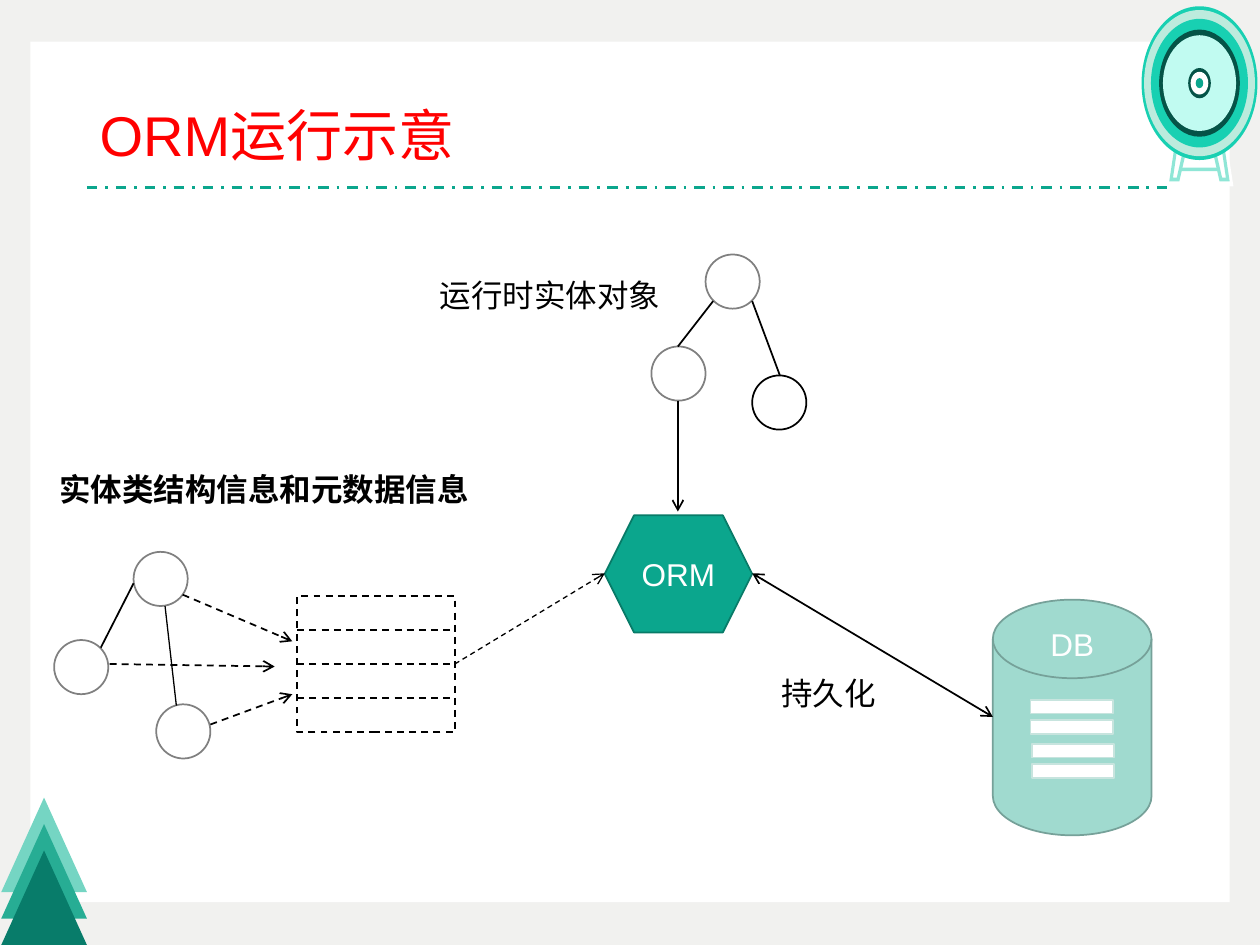
from lxml.etree import SubElement as Sub
from pptx import Presentation
from pptx.dml.color import RGBColor as Rgb
from pptx.enum.dml import MSO_LINE as Dash
from pptx.enum.shapes import MSO_CONNECTOR as Conn, MSO_SHAPE as Kind
from pptx.enum.text import MSO_ANCHOR as Anchor, MSO_AUTO_SIZE as Fit, PP_ALIGN as Align
from pptx.oxml.ns import qn
from pptx.util import Cm, Pt

HUES = {
    "paper": "F1F1EF", "white": "FFFFFF", "black": "000000", "gray": "808080",
    "red": "FF0000", "teal": "0BA68D", "edge": "087B68", "mint": "8FE6D6",
    "pale": "BCEBDD", "aqua": "18D0B2", "ice": "C1FBF1", "deep": "055347",
    "leaf1": "75D5C3", "leaf2": "27AD94", "leaf3": "087C6A",
    "disk": "A0DACF", "rim": "76A199", "bar": "C7E4DE",
}
DOT = 0.43  # diameter of an object circle


def size(val):
    """Turn inches on the slide into a Cm length."""
    return Cm(val * 2.54)


def hue(name):
    return Rgb.from_string(HUES[name])


def paint(item, fill=None, line=None, width=1, dash=None):
    item.shadow.inherit = False
    if fill:
        item.fill.solid()
        item.fill.fore_color.rgb = hue(fill)
    else:
        item.fill.background()
    if line:
        item.line.color.rgb = hue(line)
        item.line.width = Pt(width)
        if dash:
            item.line.dash_style = dash
    else:
        item.line.fill.background()
    return item


def shape(slide, kind, x, y, w, h, **style):
    return paint(slide.shapes.add_shape(kind, *map(size, (x, y, w, h))), **style)


def outline(slide, loops, **style):
    """Draw one outline; further loops are holes in the first."""
    first, *holes = [[(size(x), size(y)) for x, y in loop] for loop in loops]
    pen = slide.shapes.build_freeform(*first[0])
    pen.add_line_segments(first[1:])
    for hole in holes:
        pen.move_to(*hole[0])
        pen.add_line_segments(hole[1:])
    return paint(pen.convert_to_shape(), **style)


def link(slide, x1, y1, x2, y2, color="black", width=1, dash=None, head=False, tail=False):
    item = slide.shapes.add_connector(Conn.STRAIGHT, *map(size, (x1, y1, x2, y2)))
    item.line.color.rgb = hue(color)
    item.line.width = Pt(width)
    if dash:
        item.line.dash_style = dash
    for tag, show in (("a:headEnd", head), ("a:tailEnd", tail)):
        if show:
            Sub(item.line._get_or_add_ln(), qn(tag), type="arrow")
    Sub(item._element.spPr, qn("a:effectLst"))


def write(item, text, pts=18, color="black", bold=False, align=Align.LEFT,
          anchor=Anchor.MIDDLE, space=None):
    frame = item.text_frame
    frame.word_wrap = True
    frame.auto_size = Fit.NONE
    frame.vertical_anchor = anchor
    para = frame.paragraphs[0]
    para.alignment = align
    para.line_spacing = space
    run = para.add_run()
    run.text = text
    run.font.name = "Arial"
    run.font.size = Pt(pts)
    run.font.bold = bold
    run.font.color.rgb = hue(color)


def label(slide, text, x, y, w, h=0.4, **style):
    write(slide.shapes.add_textbox(*map(size, (x, y, w, h))), text, **style)


def dot(slide, x, y, line="gray", turn=0):
    shape(slide, Kind.OVAL, x, y, DOT, DOT, line=line).rotation = turn


def target(slide, x, y):
    """Archery target centred on x, y."""
    back = [(0, -0.18), (0.17, 0.59), (0.23, 0.59), (0.11, -0.18)]
    outer = [(0.24, 0.78), (0.16, 0.78), (-0.02, -0.01), (0.12, -0.01)]
    inner = [(0.18, 0.75), (0.21, 0.75), (0.1, 0.01), (0.01, 0.01)]
    front = [(dx, dy + 0.23) for dx, dy in back]
    for side in (1, -1):
        for loops, fill, move in (([back], "white", 0), ([front], "white", 0.04),
                                  ([outer, inner], "mint", 0)):
            outline(slide, [[(x + move + side * dx, y + dy) for dx, dy in loop]
                            for loop in loops], fill=fill)
    shape(slide, Kind.RECTANGLE, x - 0.15, y + 0.67, 0.3, 0.03, fill="mint")
    for w, h, fill in ((0.92, 1.22, "aqua"), (0.88, 1.16, "pale"), (0.77, 1.02, "aqua"),
                       (0.64, 0.85, "deep"), (0.58, 0.76, "ice"), (0.18, 0.24, "deep"),
                       (0.14, 0.18, "white"), (0.06, 0.08, "teal")):
        shape(slide, Kind.OVAL, x - w / 2, y - h / 2, w, h, fill=fill)


def tree(slide, x, y):
    for i, fill in enumerate(("leaf1", "leaf2", "leaf3")):
        shape(slide, Kind.ISOSCELES_TRIANGLE, x, y + 0.21 * i, 0.68, 0.75, fill=fill)


def heading(slide, x, y, w, h):
    title = slide.shapes.title
    title.left, title.top, title.width, title.height = map(size, (x, y, w, h))
    slide.shapes._spTree.append(title._element)  # in front of the page
    write(title, "ORM运行示意", pts=32, color="red", space=0.9)
    link(slide, x, y + h, 9.29, y + h, color="teal", width=1.5, dash=Dash.DASH_DOT)


def objects(slide, x, y):
    """Tree of entity objects at run time."""
    dot(slide, x + 2.58, y + 0.96, line="black")
    dot(slide, x + 2.21, y)
    dot(slide, x + 1.78, y + 0.73)
    link(slide, x + 2.8, y + 0.96, x + 2.58, y + 0.37)
    link(slide, x + 2.27, y + 0.37, x + 1.99, y + 0.73)
    link(slide, x + 1.99, y + 1.16, x + 1.99, y + 2.04, tail=True)
    label(slide, "运行时实体对象", x, y + 0.12, 2.11)


def mapper(slide, x, y, w, h):
    item = shape(slide, Kind.HEXAGON, x, y, w, h, fill="teal", line="edge")
    write(item, "ORM", color="white", align=Align.CENTER)


def store(slide, x, y, w, h):
    shape(slide, Kind.FLOWCHART_MAGNETIC_DISK, x, y, w, h, fill="disk", line="rim")
    label(slide, "DB", x, y + 0.15, w, color="white", align=Align.CENTER)
    for dx, dy in ((0.18, 0.7), (0.19, 1.05)):
        shape(slide, Kind.MATH_EQUAL, x + dx, y + dy, 0.89, 0.46, fill="white", line="bar")


def sheet(slide, x, y, w, h):
    """Dashed box of four rows."""
    shape(slide, Kind.RECTANGLE, x, y, w, h, fill="white", line="black", dash=Dash.DASH)
    for i in range(1, 4):
        link(slide, x, y + h * i / 4, x + w, y + h * i / 4, dash=Dash.DASH)


def classes(slide, x, y):
    """Entity classes and the metadata drawn from them."""
    label(slide, "实体类结构信息和元数据信息", x, y, 3.58, bold=True)
    sheet(slide, x + 1.99, y + 1.05, 1.25, 1.08)
    dot(slide, x + 0.69, y + 0.7, turn=351)
    dot(slide, x + 0.06, y + 1.4)
    dot(slide, x + 0.87, y + 1.91, turn=343)
    link(slide, x + 0.94, y + 1.13, x + 1.03, y + 1.92, width=0.75)
    link(slide, x + 0.69, y + 0.95, x + 0.43, y + 1.46)
    for x1, y1, x2, y2 in ((1.08, 1.04, 1.95, 1.41), (0.5, 1.59, 1.81, 1.61),
                           (1.3, 2.07, 1.95, 1.83)):
        link(slide, x + x1, y + y1, x + x2, y + y2, dash=Dash.DASH, tail=True)


def main():
    deck = Presentation()
    deck.slide_width, deck.slide_height = size(10), size(7.5)
    slide = deck.slides.add_slide(deck.slide_layouts[5])
    slide.background.fill.solid()
    slide.background.fill.fore_color.rgb = hue("paper")

    shape(slide, Kind.RECTANGLE, 0.24, 0.33, 9.52, 6.83, fill="white")
    target(slide, 9.52, 0.66)
    tree(slide, 0.01, 6.33)
    heading(slide, 0.69, 0.7, 8.45, 0.79)
    mapper(slide, 4.8, 4.09, 1.17, 0.93)
    store(slide, 7.88, 4.76, 1.26, 1.87)
    objects(slide, 3.39, 2.02)
    classes(slide, 0.37, 3.68)
    link(slide, 3.61, 5.27, 4.8, 4.55, width=0.75, dash=Dash.DASH, tail=True)
    link(slide, 5.97, 4.55, 7.88, 5.69, head=True, tail=True)
    label(slide, "持久化", 6.1, 5.3, 1.15)
    deck.save("out.pptx")


if __name__ == "__main__":
    main()
